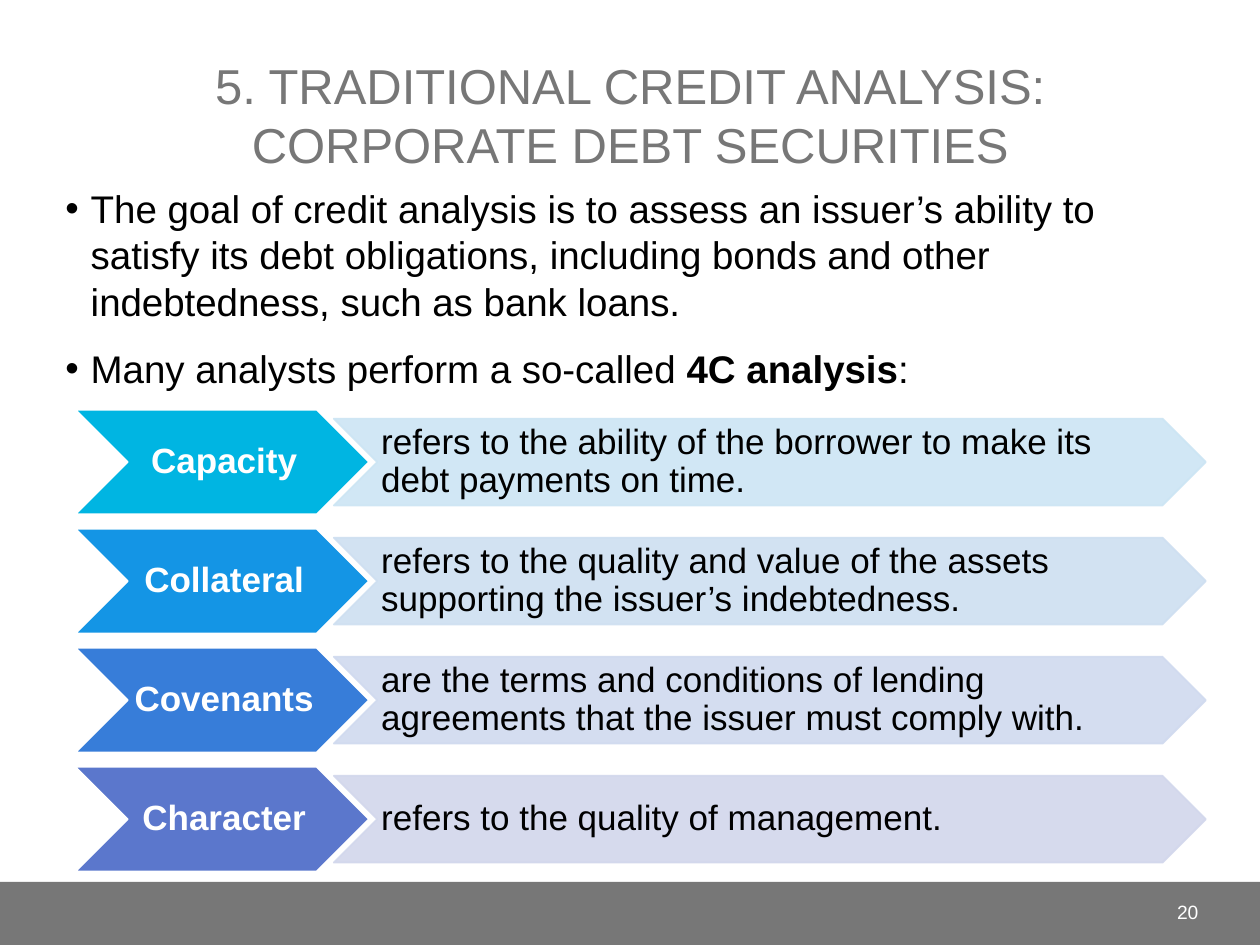
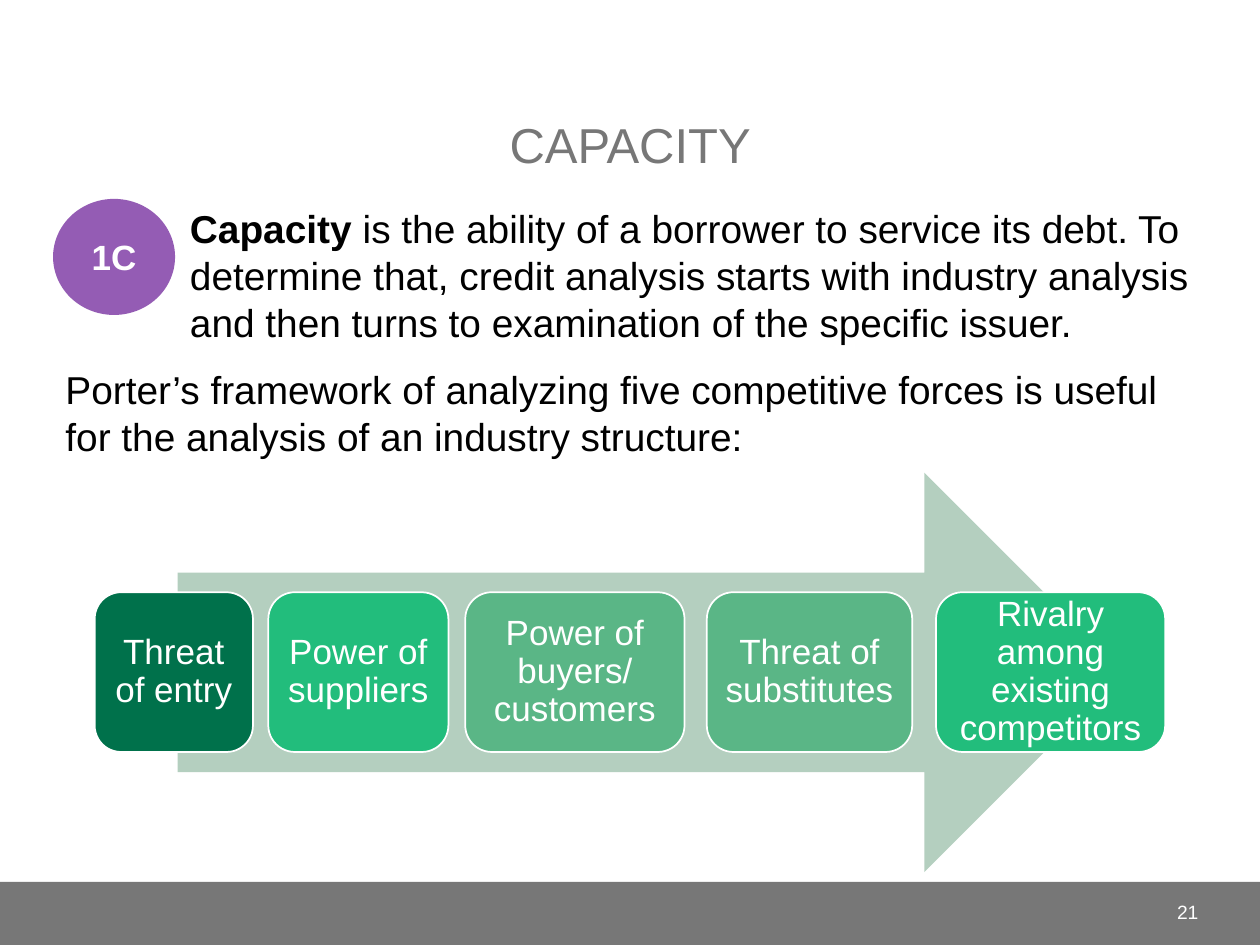
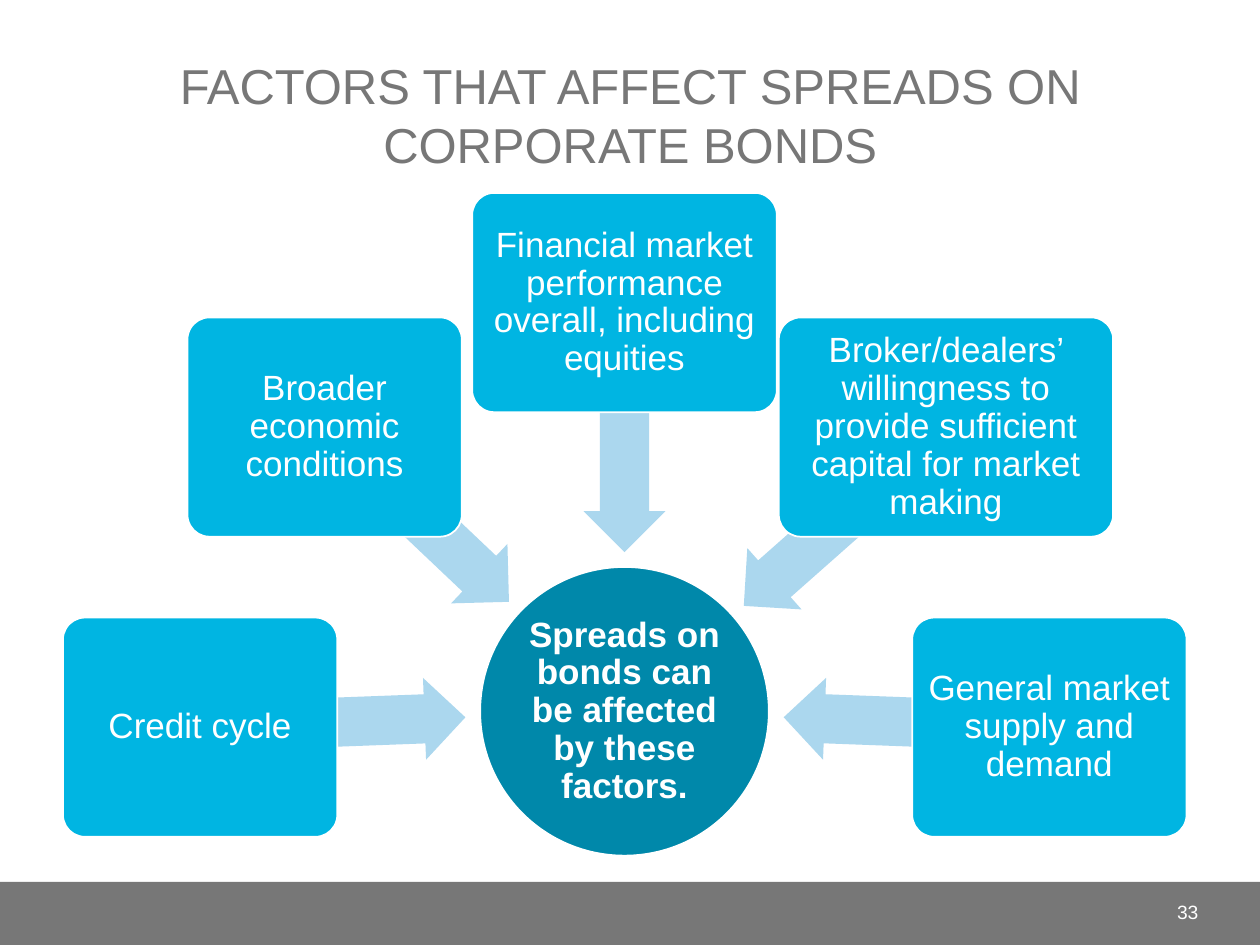
"""Build three slides on credit analysis of corporate debt."""
import math
from dataclasses import dataclass

from lxml import etree
from pptx import Presentation
from pptx import util as u
from pptx.dml.color import RGBColor
from pptx.enum import shapes, text
from pptx.oxml.ns import qn

CAPACITY_TITLE = "CAPACITY"
FOUR_C_TITLE = "5. TRADITIONAL CREDIT ANALYSIS: CORPORATE DEBT SECURITIES"
FACTORS_TITLE = "FACTORS THAT AFFECT SPREADS ON CORPORATE BONDS"

GOAL = [
    [("The goal of credit analysis is to assess an issuer’s ability to satisfy its debt "
      "obligations, including bonds and other indebtedness, such as bank loans.", False)],
    [("Many analysts perform a so-called ", False), ("4C analysis", True), (":", False)],
]
FOUR_CS = [
    ("Capacity", "refers to the ability of the borrower to make its debt payments on time.",
     "00B5E2", "CCE5F4"),
    ("Collateral", "refers to the quality and value of the assets supporting the issuer’s "
     "indebtedness.", "1495E5", "CEDFF1"),
    ("Covenants", "are the terms and conditions of lending agreements that the issuer must "
     "comply with.", "377DD9", "D0DAEF"),
    ("Character", "refers to the quality of management.", "5B77CC", "D2D7EC"),
]
CAPACITY = [
    [("Capacity", True),
     (" is the ability of a borrower to service its debt. To determine that, credit analysis "
      "starts with industry analysis and then turns to examination of the specific issuer.",
      False)],
    [("Porter’s framework of analyzing five competitive forces is useful for the analysis of "
      "an industry structure:", False)],
]
FORCES = [
    ("Threat of entry", 1.91, 3.19, "00714B"),
    ("Power of suppliers", 5.41, 3.63, "22BD7C"),
    ("Power of buyers/ customers", 9.38, 4.42, "5AB686"),
    ("Threat of substitutes", 14.25, 4.14, "5AB686"),
    ("Rivalry among existing competitors", 18.87, 4.62, "22BD7C"),
]
HUB = "Spreads on bonds can be affected by these factors."
FACTORS = [
    ("Credit cycle", 1.27, 12.45, 5.53),
    ("Broader economic conditions", 3.78, 6.4, 5.53),
    ("Financial market performance overall, including equities", 9.52, 3.89, 6.14),
    ("Broker/dealers’ willingness to provide sufficient capital for market making",
     15.7, 6.4, 6.74),
    ("General market supply and demand", 18.39, 12.45, 5.53),
]


@dataclass(frozen=True)
class Theme:
    """Colours, font and type sizes."""
    font: str = "Arial"
    grey: str = "777777"
    white: str = "FFFFFF"
    black: str = "000000"
    purple: str = "5C068C"
    pale_green: str = "B4CFBF"
    cyan: str = "00B5E2"
    teal: str = "0088AA"
    pale_blue: str = "ABD7EE"
    title: float = 28
    body: float = 22
    body_capacity: float = 22.2
    label: float = 20
    number: float = 11


T = Theme()
SHAPE = shapes.MSO_SHAPE
ALIGN = text.PP_ALIGN
ANCHOR = text.MSO_ANCHOR
BODY_SPACING = {"space_before": u.Pt(6), "space_after": u.Pt(6)}


def apply(obj, values):
    """Set each named attribute on an object."""
    for name, value in values.items():
        setattr(obj, name, value)


def write(s, paras, size, color, align=ALIGN.CENTER, anchor=ANCHOR.MIDDLE, insets=None, **fmt):
    """Fill a shape with paragraphs of (text, bold) runs."""
    tf = s.text_frame
    apply(tf, {"word_wrap": True, "vertical_anchor": anchor})
    if insets:
        sides = ("margin_left", "margin_top", "margin_right", "margin_bottom")
        apply(tf, {side: u.Cm(v) for side, v in zip(sides, insets)})
    for i, runs in enumerate(paras):
        p = tf.paragraphs[0] if i == 0 else tf.add_paragraph()
        apply(p, {"alignment": align, **fmt})
        for words, bold in runs:
            r = p.add_run()
            r.text = words
            apply(r.font, {"name": T.font, "size": u.Pt(size), "bold": bold})
            r.font.color.rgb = RGBColor.from_string(color)


def add_text(sl, box, paras, size, color, **fmt):
    """Add a text box."""
    s = sl.shapes.add_textbox(*map(u.Cm, box))
    write(s, paras, size, color, **fmt)
    return s


def add_shape(sl, kind, box, fill, line=None, alpha=None, adj=()):
    """Add a flat preset shape."""
    s = sl.shapes.add_shape(kind, *map(u.Cm, box))
    s.shadow.inherit = False
    s.fill.solid()
    s.fill.fore_color.rgb = RGBColor.from_string(fill)
    if line:
        s.line.width = u.Pt(1)
        s.line.color.rgb = RGBColor.from_string(line)
    else:
        s.line.fill.background()
    for i, value in enumerate(adj):
        s.adjustments[i] = value
    if alpha:
        for c in s._element.spPr.iter(qn("a:srgbClr")):
            etree.SubElement(c, qn("a:alpha"), val=str(alpha * 1000))
    return s


def label(s, words, inset, bold=False, color=T.white, align=ALIGN.CENTER):
    """Write a diagram label inside a shape."""
    write(s, [[(words, bold)]], T.label, color, align=align, insets=inset, line_spacing=0.9)


def indent(p, left, first=0, bullet=None):
    """Set paragraph indents and an optional bullet."""
    pPr = p._p.get_or_add_pPr()
    pPr.set("marL", str(u.Cm(left)))
    pPr.set("indent", str(u.Cm(first)))
    if bullet:
        etree.SubElement(pPr, qn("a:buFont"), typeface=T.font)
        etree.SubElement(pPr, qn("a:buChar"), char=bullet)


def new_slide(prs, title, number):
    """Add a slide with its band, title and page number."""
    sl = prs.slides.add_slide(prs.slide_layouts[6])
    add_shape(sl, SHAPE.RECTANGLE, (0, 17.78, 25.4, 1.27), T.grey)
    add_text(sl, (1.07, 0.43, 23.27, 3.18), [[(title, False)]], T.title, T.grey,
             anchor=ANCHOR.BOTTOM)
    add_text(sl, (22.23, 17.88, 2.18, 1.02), [[(str(number), False)]], T.number, T.white,
             align=ALIGN.RIGHT)
    return sl


def four_c_slide(prs):
    """Four chevron rows, one for each C."""
    sl = new_slide(prs, FOUR_C_TITLE, 20)
    body = add_text(sl, (1.07, 3.61, 23.27, 4.88), GOAL, T.body, T.black, align=ALIGN.LEFT,
                    anchor=ANCHOR.TOP, **BODY_SPACING)
    for p in body.text_frame.paragraphs:
        indent(p, 0.51, -0.51, "•")
    top, pitch, inset = 8.26, 2.4, (0.08, 0.03, 0, 0.03)
    for i, (name, meaning, strong, pale) in enumerate(FOUR_CS):
        y = top + i * pitch
        s = add_shape(sl, SHAPE.CHEVRON, (1.52, y, 5.92, 2.11), strong, T.white)
        label(s, name, inset, bold=True)
        s = add_shape(sl, SHAPE.CHEVRON, (6.73, y + 0.18, 17.58, 1.75), pale, pale, alpha=90)
        label(s, meaning, inset, color=T.black, align=ALIGN.LEFT)


def capacity_slide(prs):
    """Five competitive forces on an arrow."""
    sl = new_slide(prs, CAPACITY_TITLE, 21)
    body = add_text(sl, (1.07, 4.01, 23.27, 6.15), CAPACITY, T.body_capacity, T.black,
                    align=ALIGN.LEFT, anchor=ANCHOR.TOP, **BODY_SPACING)
    indent(body.text_frame.paragraphs[0], 2.51)
    add_shape(sl, SHAPE.RIGHT_ARROW, (3.58, 9.53, 19.08, 8.05), T.pale_green)
    for name, x, w, fill in FORCES:
        s = add_shape(sl, SHAPE.ROUNDED_RECTANGLE, (x, 11.94, w, 3.22), fill, T.white)
        label(s, name, (0.2,) * 4)
    badge = add_shape(sl, SHAPE.OVAL, (1.07, 4.01, 2.46, 2.34), T.purple, alpha=65)
    write(badge, [[("1C", True)]], T.label, T.white)


def factors_slide(prs):
    """Factor boxes with arrows aimed at a hub."""
    sl = new_slide(prs, FACTORS_TITLE, 33)
    cx, cy, radius, reach = 12.59, 14.34, 2.91, 3.21
    box_h, arrow_h = 4.42, 1.65
    hub = add_shape(sl, SHAPE.OVAL, (cx - radius, cy - radius, 2 * radius, 2 * radius),
                    T.teal, T.white)
    label(hub, HUB, (0.03,) * 4, bold=True)
    for name, x, y, w in FACTORS:
        dx, dy = x + w / 2 - cx, y + box_h / 2 - cy
        distance, angle = math.hypot(dx, dy), math.atan2(dy, dx)
        length, middle = distance - reach, (distance + reach) / 2
        arrow = add_shape(sl, SHAPE.LEFT_ARROW,
                          (cx + middle * math.cos(angle) - length / 2,
                           cy + middle * math.sin(angle) - arrow_h / 2, length, arrow_h),
                          T.pale_blue, adj=(0.6, 0.5))
        arrow.rotation = math.degrees(angle) % 360
        s = add_shape(sl, SHAPE.ROUNDED_RECTANGLE, (x, y, w, box_h), T.cyan, T.white,
                      adj=(0.1,))
        label(s, name, (0.1,) * 4)


def main():
    """Build and save the deck."""
    prs = Presentation()
    apply(prs, {"slide_width": u.Cm(25.4), "slide_height": u.Cm(19.05)})
    for build in (four_c_slide, capacity_slide, factors_slide):
        build(prs)
    prs.save("out.pptx")


if __name__ == "__main__":
    main()
